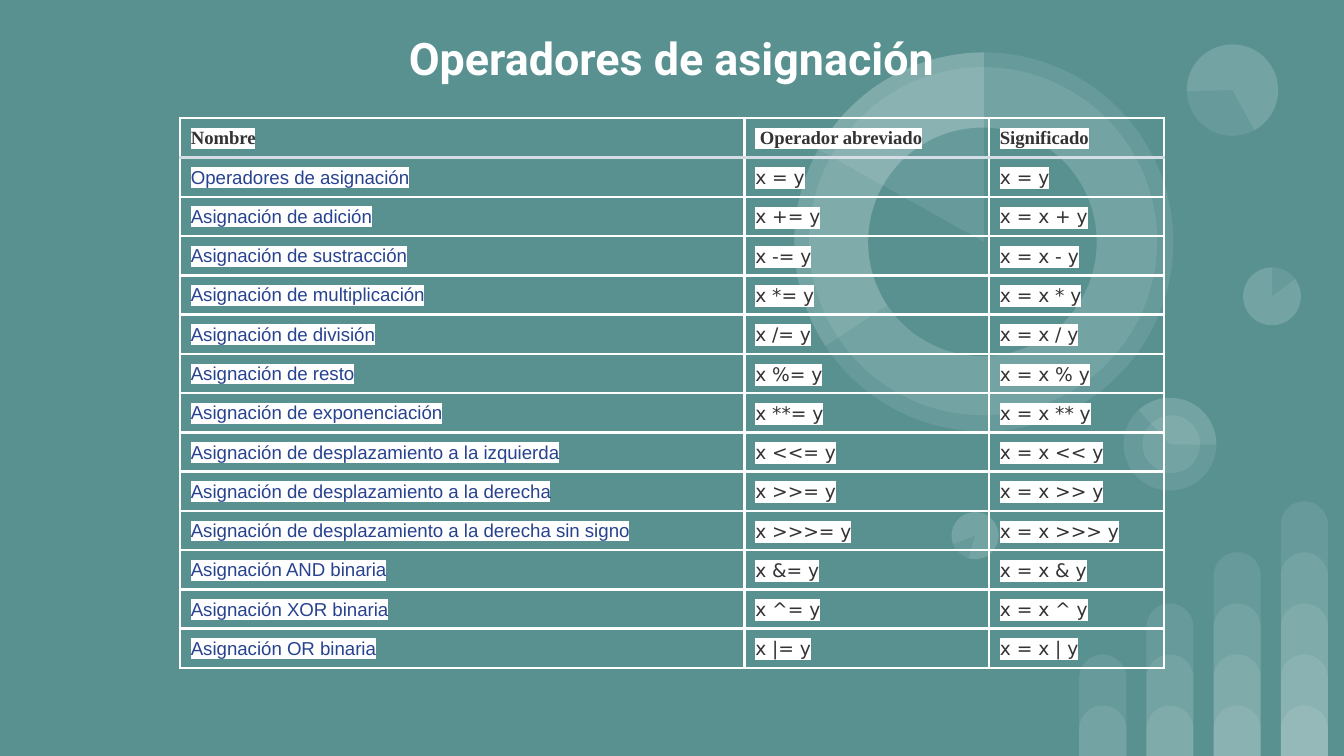
"""Build a slide with a table of assignment operators over pale charts."""
from lxml import etree
from pptx import Presentation
from pptx.dml.color import RGBColor
from pptx.enum.shapes import MSO_SHAPE
from pptx.enum.text import MSO_ANCHOR, PP_ALIGN
from pptx.oxml.ns import qn
from pptx.util import Inches, Pt

ELLIPSE, PIE = MSO_SHAPE.OVAL, MSO_SHAPE.PIE
BAR = MSO_SHAPE.ROUND_2_SAME_RECTANGLE
MIDDLE, CENTER = MSO_ANCHOR.MIDDLE, PP_ALIGN.CENTER

TEAL = RGBColor(0x59, 0x91, 0x91)
WHITE = RGBColor(0xFF, 0xFF, 0xFF)
SILVER = RGBColor(0xD4, 0xDD, 0xE4)
CHARCOAL = RGBColor(0x33, 0x33, 0x33)
BLUE = RGBColor(0x27, 0x42, 0x8F)

WIDTH, HEIGHT = Inches(10), Inches(5.625)
VEIL_ALPHA = 9000
BORDER_WIDTH = Pt(1.47)
BAR_LEFT, BAR_STEP, BAR_WIDTH = 80.3, 5, 3.5
BAR_TOP, BAR_RISE = 52.5, 3.8

TITLE_FORMAT = {"name": "Roboto", "size": Pt(24), "bold": True}
HEADER_FORMAT = {"name": "Times New Roman", "size": Pt(10), "bold": True}
NAME_FORMAT = {"name": "Arial", "size": Pt(10), "bold": False}
CODE_FORMAT = {"name": "DejaVu Sans", "size": Pt(10), "bold": False}

# Left, top, diameter, rotation, sector angles (None for a full disc), colour
DIALS = [
    (92.5, 19.9, 4.3, 0, None, WHITE),
    (92.5, 19.9, 4.3, 0, (193.77, 162), WHITE),
    (70.8, 38.1, 3.5, 196.2, None, WHITE),
    (70.8, 38.1, 3.5, 196.2, (193.77, 162), WHITE),
    (83.6, 29.6, 6.9, 90, None, WHITE),
    (83.6, 29.6, 6.9, 90, (82.45, 162.46), WHITE),
    (85, 30.9, 4.3, 90, None, WHITE),
    (88.3, 3.3, 6.8, 215.9, None, WHITE),
    (88.3, 3.3, 6.8, 215.9, (193.77, 123.14), WHITE),
    (59.1, 3.9, 28.2, 0, None, WHITE),
    (60.2, 5, 25.9, 34.1, None, WHITE),
    (59.1, 3.9, 28.2, 0, (88.01, 162), WHITE),
    (64.6, 9.5, 17, 34.1, None, TEAL),
    (59.1, 3.9, 28.2, 0, (125.54, 162), WHITE),
]

COLUMNS = [42, 18.2, 13]
HEADER_HEIGHT, ROW_HEIGHT = 1.9, 2.7
HEADERS = ["Nombre", " Operador abreviado", "Significado"]
OPERATORS = [
    ("Operadores de asignación", ""),
    ("Asignación de adición", "+"),
    ("Asignación de sustracción", "-"),
    ("Asignación de multiplicación", "*"),
    ("Asignación de división", "/"),
    ("Asignación de resto", "%"),
    ("Asignación de exponenciación", "**"),
    ("Asignación de desplazamiento a la izquierda", "<<"),
    ("Asignación de desplazamiento a la derecha", ">>"),
    ("Asignación de desplazamiento a la derecha sin signo", ">>>"),
    ("Asignación AND binaria", "&"),
    ("Asignación XOR binaria", "^"),
    ("Asignación OR binaria", "|"),
]


def share(percent):
    """Return a length given as a percentage of the slide's width."""
    return round(WIDTH * percent / 100)


def add_solid_fill(parent, color):
    """Append a solid fill to an XML element."""
    fill = etree.SubElement(parent, qn("a:solidFill"))
    etree.SubElement(fill, qn("a:srgbClr"), val=str(color))


def add_decoration(slide, kind, box, color, adjustments=()):
    """Add a borderless shape, translucent when it is white."""
    shape = slide.shapes.add_shape(kind, *map(share, box))
    shape.shadow.inherit = False
    shape.line.fill.background()
    shape.fill.solid()
    shape.fill.fore_color.rgb = color
    for index, value in enumerate(adjustments):
        shape.adjustments[index] = value
    if color == WHITE:
        tint = shape._element.spPr.find(".//" + qn("a:srgbClr"))
        etree.SubElement(tint, qn("a:alpha"), val=str(VEIL_ALPHA))
    return shape


def add_bars(slide):
    """Add four columns of overlapping bars, each one step taller."""
    bottom = 100 * HEIGHT / WIDTH
    for column in range(4):
        for level in range(column + 2):
            top = BAR_TOP - level * BAR_RISE
            box = (BAR_LEFT + column * BAR_STEP, top, BAR_WIDTH, bottom - top)
            add_decoration(slide, BAR, box, WHITE, (0.5, 0))


def add_dials(slide):
    """Add the discs and their sectors."""
    for left, top, diameter, rotation, sector, color in DIALS:
        kind = PIE if sector else ELLIPSE
        box = (left, top, diameter, diameter)
        shape = add_decoration(slide, kind, box, color, sector or ())
        shape.rotation = rotation


def add_run(paragraph, text, text_format, color):
    """Add a run with the given font values and colour."""
    run = paragraph.add_run()
    run.text = text
    for name, value in text_format.items():
        setattr(run.font, name, value)
    run.font.color.rgb = color
    return run


def add_title(slide):
    """Add the centred title."""
    box = slide.shapes.add_textbox(*map(share, (7.3, 2.2, 85.3, 4.2)))
    frame = box.text_frame
    frame.word_wrap = True
    frame.vertical_anchor = MIDDLE
    paragraph = frame.paragraphs[0]
    paragraph.alignment = CENTER
    add_run(paragraph, "Operadores de asignación", TITLE_FORMAT, WHITE)


def highlight(run, color):
    """Set the colour behind a run."""
    mark = etree.Element(qn("a:highlight"))
    etree.SubElement(mark, qn("a:srgbClr"), val=str(color))
    run._r.get_or_add_rPr().find(qn("a:solidFill")).addnext(mark)


def set_borders(cell, top, bottom):
    """Draw the four borders of a cell, white at the sides."""
    properties = cell._tc.get_or_add_tcPr()
    colors = {"a:lnL": WHITE, "a:lnR": WHITE, "a:lnT": top, "a:lnB": bottom}
    for index, (tag, color) in enumerate(colors.items()):
        line = etree.Element(qn(tag), w=str(BORDER_WIDTH))
        add_solid_fill(line, color)
        properties.insert(index, line)


def fill_cell(cell, text, text_format, color, top, bottom):
    """Write highlighted text in a clear, bordered cell."""
    margins = {"margin_left": share(0.8), "margin_right": share(0.8),
               "margin_top": share(0.5), "margin_bottom": share(0.5)}
    for name, value in margins.items():
        setattr(cell, name, value)
    cell.fill.background()
    set_borders(cell, top, bottom)
    paragraph = cell.text_frame.paragraphs[0]
    paragraph.line_spacing = 1.15
    highlight(add_run(paragraph, text, text_format, color), WHITE)


def add_operator_table(slide):
    """Add the table, deriving both expressions from each operator."""
    rows = [HEADERS]
    for name, sign in OPERATORS:
        meaning = f"x = x {sign} y" if sign else "x = y"
        rows.append((name, f"x {sign}= y", meaning))
    height = HEADER_HEIGHT + ROW_HEIGHT * len(OPERATORS)
    box = map(share, (13.4, 8.8, sum(COLUMNS), height))
    table = slide.shapes.add_table(len(rows), len(COLUMNS), *box).table
    table.first_row = table.horz_banding = False
    for column, width in zip(table.columns, COLUMNS):
        column.width = share(width)
    for row_index, texts in enumerate(rows):
        table.rows[row_index].height = share(ROW_HEIGHT if row_index else HEADER_HEIGHT)
        top = SILVER if row_index == 1 else WHITE
        bottom = SILVER if row_index == 0 else WHITE
        for column_index, text in enumerate(texts):
            text_format, color = CODE_FORMAT, CHARCOAL
            if row_index == 0:
                text_format = HEADER_FORMAT
            elif column_index == 0:
                text_format, color = NAME_FORMAT, BLUE
            fill_cell(table.cell(row_index, column_index), text, text_format, color, top, bottom)


def main():
    """Build and save the presentation."""
    presentation = Presentation()
    presentation.slide_width, presentation.slide_height = WIDTH, HEIGHT
    slide = presentation.slides.add_slide(presentation.slide_layouts[6])
    slide.background.fill.solid()
    slide.background.fill.fore_color.rgb = TEAL
    add_bars(slide)
    add_dials(slide)
    add_title(slide)
    add_operator_table(slide)
    presentation.save("out.pptx")


if __name__ == "__main__":
    main()
